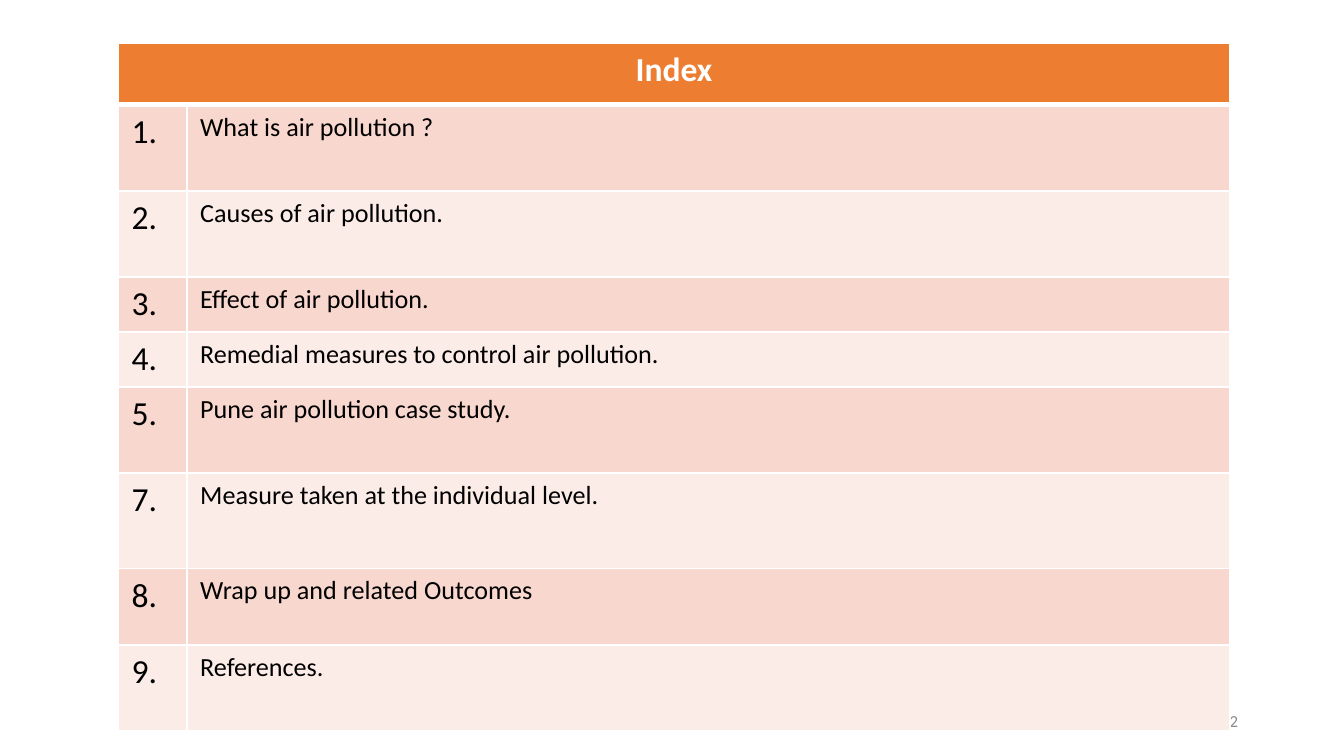
from dataclasses import dataclass

from lxml.etree import SubElement
from pptx import Presentation
from pptx.dml.color import RGBColor
from pptx.enum.text import MSO_ANCHOR, PP_ALIGN
from pptx.oxml.ns import qn
from pptx.util import Inches, Pt


@dataclass(frozen=True)
class Theme:
    font: str = "Calibri"
    head: str = "ED7D31"
    bands: tuple = ("F8D7CE", "FCECE8")
    white: str = "FFFFFF"
    ink: str = "000000"
    gray: str = "8C8C8C"
    large: int = 18
    body: int = 14
    small: int = 9
    thin: int = 1
    thick: int = 3


THEME = Theme()
TOPICS = [
    ("1.", "What is air pollution ?", 0.64),
    ("2.", "Causes of air pollution.", 0.64),
    ("3.", "Effect of air pollution.", 0.41),
    ("4.", "Remedial measures to control air pollution.", 0.41),
    ("5.", "Pune air pollution case study.", 0.64),
    ("7.", "Measure taken at the individual level.", 0.71),
    ("8.", "Wrap up and related Outcomes", 0.57),
    ("9.", "References.", 0.64),
]


def add_run(frame, text, size, color, bold=False, align=PP_ALIGN.LEFT):
    para = frame.paragraphs[0]
    para.alignment = align
    run = para.add_run()
    run.text = text
    font = run.font
    font.name, font.size, font.bold = THEME.font, Pt(size), bold
    font.color.rgb = RGBColor.from_string(color)


def style_cell(cell, fill, top, bottom):
    props = cell._tc.get_or_add_tcPr()
    edges = {"L": THEME.thin, "R": THEME.thin, "T": top, "B": bottom}
    for side, width in edges.items():
        line = SubElement(props, qn(f"a:ln{side}"), w=str(Pt(width)))
        solid = SubElement(line, qn("a:solidFill"))
        SubElement(solid, qn("a:srgbClr"), val=THEME.white)
    cell.fill.solid()
    cell.fill.fore_color.rgb = RGBColor.from_string(fill)


def add_index(slide, left, top, width, topics):
    heights = [0.46] + [height for _, _, height in topics]
    frame = slide.shapes.add_table(
        len(heights), 2, Inches(left), Inches(top),
        Inches(width), Inches(sum(heights)))
    table = frame.table
    first = 0.51
    table.columns[0].width = Inches(first)
    table.columns[1].width = Inches(width - first)
    for row, height in zip(table.rows, heights):
        row.height = Inches(height)

    title = table.cell(0, 0)
    title.merge(table.cell(0, 1))
    for cell in table.rows[0].cells:
        style_cell(cell, THEME.head, THEME.thin, THEME.thick)
    add_run(title.text_frame, "Index", THEME.large, THEME.white,
            True, PP_ALIGN.CENTER)

    for row, (number, topic, _) in enumerate(topics, 1):
        fill = THEME.bands[(row - 1) % 2]
        edge = THEME.thick if row == 1 else THEME.thin
        parts = ((number, THEME.large), (topic, THEME.body))
        for col, (text, size) in enumerate(parts):
            cell = table.cell(row, col)
            style_cell(cell, fill, edge, THEME.thin)
            add_run(cell.text_frame, text, size, THEME.ink)


def add_number(slide, left, top, width, height, text):
    box = slide.shapes.add_textbox(
        Inches(left), Inches(top), Inches(width), Inches(height))
    frame = box.text_frame
    frame.word_wrap = True
    frame.vertical_anchor = MSO_ANCHOR.MIDDLE
    add_run(frame, text, THEME.small, THEME.gray, align=PP_ALIGN.RIGHT)


def main():
    deck = Presentation()
    deck.slide_width = Inches(10)
    deck.slide_height = deck.slide_width * 9 // 16
    slide = deck.slides.add_slide(deck.slide_layouts[6])
    add_number(slide, 7.06, 5.21, 2.25, 0.3, "2")
    add_index(slide, 0.88, 0.32, 8.27, TOPICS)
    deck.save("out.pptx")


if __name__ == "__main__":
    main()
